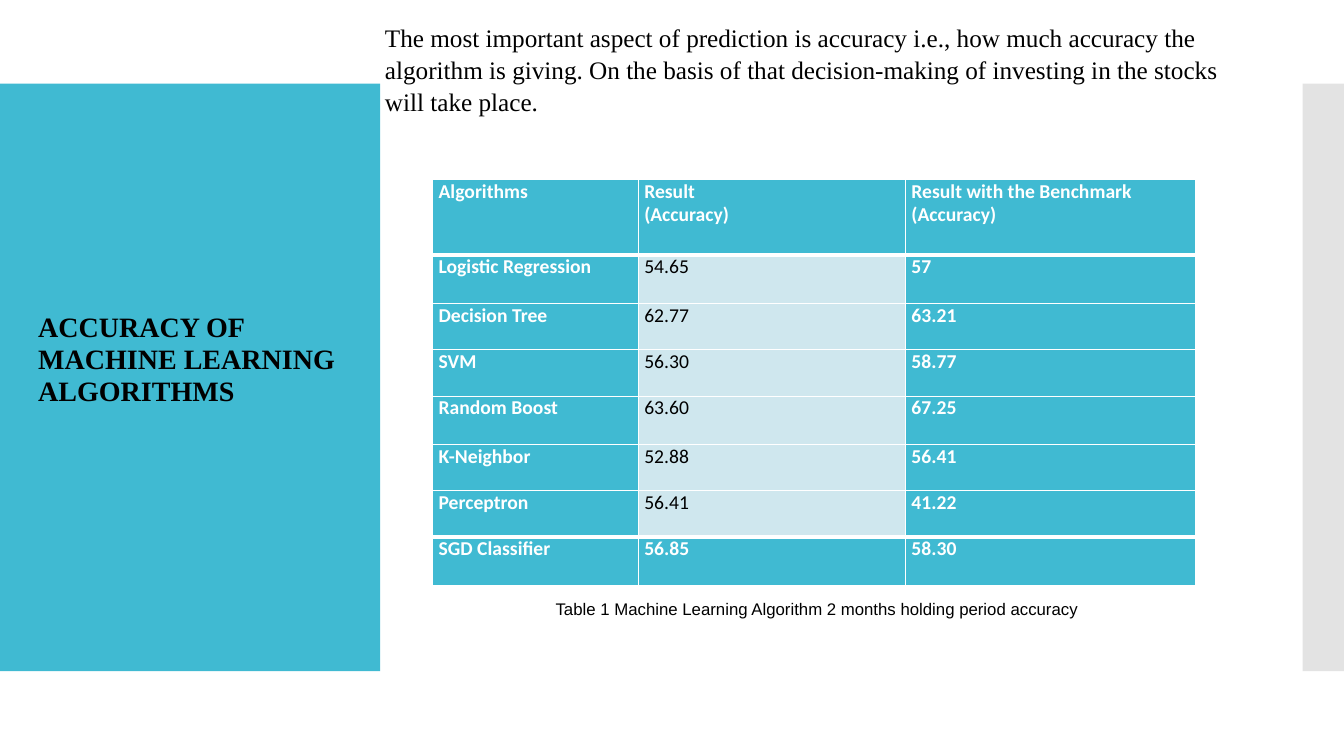
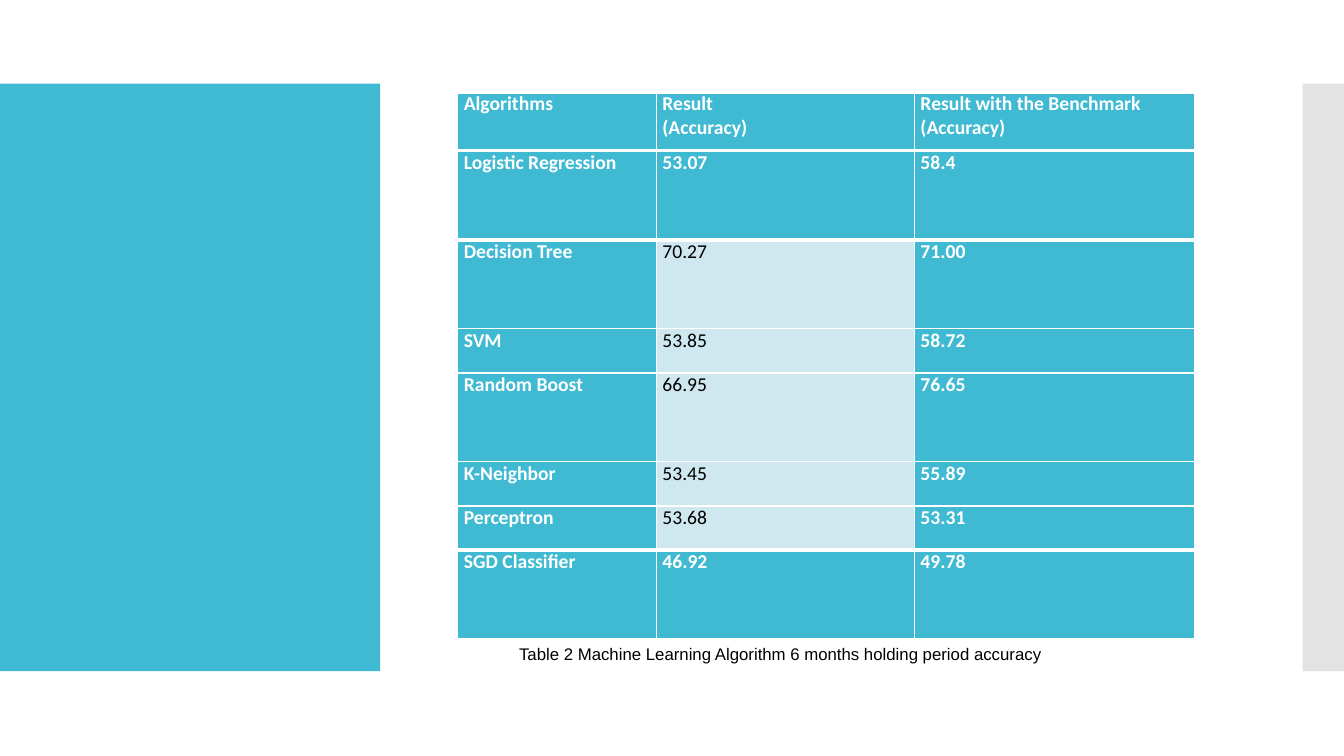
import pptx
import pptx.dml.color
import pptx.enum.shapes
import pptx.enum.text
import pptx.oxml
import pptx.oxml.ns
import pptx.util

PX = 9144
ALIGN = pptx.enum.text.PP_ALIGN
ANCHOR = pptx.enum.text.MSO_ANCHOR
HEADER = ["Algorithms", "Result\v(Accuracy)", "Result with the Benchmark (Accuracy)"]
ALGORITHMS = ["Logistic Regression", "Decision Tree", "SVM", "Random Boost",
              "K-Neighbor", "Perceptron", "SGD Classifier"]
TWO_MONTHS = [("54.65", "57"), ("62.77", "63.21"), ("56.30", "58.77"), ("63.60", "67.25"),
              ("52.88", "56.41"), ("56.41", "41.22"), ("56.85", "58.30")]
SIX_MONTHS = [("53.07", "58.4"), ("70.27", "71.00"), ("53.85", "58.72"), ("66.95", "76.65"),
              ("53.45", "55.89"), ("53.68", "53.31"), ("46.92", "49.78")]


def px(n):
    return pptx.util.Emu(n * PX)


def rgb(value):
    return pptx.dml.color.RGBColor.from_string(value)


def result_rows(results):
    return [[name, *pair] for name, pair in zip(ALGORITHMS, results)]


class Deck:
    TEAL, PALE, GREY, WHITE, BLACK = "40BAD2", "CFE7EE", "C8C8C8", "FFFFFF", "000000"
    TITLE = {"name": "Times New Roman", "size": 20, "bold": True}
    BODY = {"name": "Times New Roman", "size": 18}
    CELL = {"name": "Calibri", "size": 14, "bold": True, "color": WHITE}
    PLAIN_CELL = {**CELL, "bold": False, "color": BLACK}
    CAPTION = {"name": "Arial", "size": 12}

    def __init__(self):
        self.prs = pptx.Presentation()
        self.prs.slide_width, self.prs.slide_height = px(1333), px(750)

    def slide(self):
        self.s = self.prs.slides.add_slide(self.prs.slide_layouts[6])
        self.band(0, 377, self.TEAL)
        self.band(1292, 41, self.GREY, 50)

    def band(self, x, w, color, opacity=100):
        sp = self.s.shapes.add_shape(pptx.enum.shapes.MSO_SHAPE.RECTANGLE,
                                     px(x), px(83), px(w), px(583))
        sp.shadow.inherit = False
        sp.fill.solid()
        sp.fill.fore_color.rgb = rgb(color)
        sp.line.fill.background()
        if opacity < 100:
            clr = sp._element.spPr.find(".//" + pptx.oxml.ns.qn("a:srgbClr"))
            alpha = clr.makeelement(pptx.oxml.ns.qn("a:alpha"), {"val": str(opacity * 1000)})
            clr.append(alpha)

    def style_text(self, p, text, style):
        p.text = text
        for r in p.runs:
            for key, value in style.items():
                if key != "color":
                    setattr(r.font, key, pptx.util.Pt(value) if key == "size" else value)
            r.font.color.rgb = rgb(style.get("color", self.BLACK))

    def text(self, x, y, w, h, text, style, anchor=ANCHOR.MIDDLE, **paragraph):
        tf = self.s.shapes.add_textbox(px(x), px(y), px(w), px(h)).text_frame
        tf.word_wrap = True
        tf.vertical_anchor = anchor
        p = tf.paragraphs[0]
        self.style_text(p, text, style)
        for key, value in paragraph.items():
            setattr(p, key, value)

    def border(self, cell, side, width):
        tc_pr = cell._tc.get_or_add_tcPr()
        tc_pr.append(pptx.oxml.parse_xml(
            f'<a:ln{side} {pptx.oxml.ns.nsdecls("a")} w="{pptx.util.Pt(width)}">'
            f'<a:solidFill><a:srgbClr val="{self.WHITE}"/></a:solidFill></a:ln{side}>'))

    def table(self, x, y, widths, heights, rows):
        last = len(rows) - 1
        thick = {1, last}
        table = self.s.shapes.add_table(len(rows), len(widths), px(x), px(y),
                                        px(sum(widths)), px(sum(heights))).table
        table.first_row = table.horz_banding = False
        for column, width in zip(table.columns, widths):
            column.width = px(width)
        for i, (row, height) in enumerate(zip(rows, heights)):
            table.rows[i].height = px(height)
            for j, value in enumerate(row):
                cell = table.cell(i, j)
                plain = j == 1 and 0 < i < last
                cell.margin_left = px(6)
                cell.margin_right = cell.margin_top = cell.margin_bottom = 0
                for side, line in (("L", None), ("R", None), ("T", i), ("B", i + 1)):
                    self.border(cell, side, 3 if line in thick else 1)
                cell.fill.solid()
                cell.fill.fore_color.rgb = rgb(self.PALE if plain else self.TEAL)
                p = cell.text_frame.paragraphs[0]
                p.space_before = pptx.util.Pt(5)
                self.style_text(p, value, self.PLAIN_CELL if plain else self.CELL)


def main():
    deck = Deck()

    deck.slide()
    deck.text(28, 106, 322, 503, "ACCURACY OF MACHINE LEARNING ALGORITHMS", deck.TITLE,
              line_spacing=0.95)
    deck.text(372, 16, 870, 101,
              "The most important aspect of prediction is accuracy i.e., how much accuracy the "
              "algorithm is giving. On the basis of that decision-making of investing in the "
              "stocks will take place.", deck.BODY, ANCHOR.TOP, line_spacing=1.05)
    deck.table(429, 178, [204, 265, 288], [75, 48, 46, 46, 48, 46, 46, 48],
               [HEADER] + result_rows(TWO_MONTHS))
    deck.text(452, 589, 717, 30,
              "Table 1 Machine Learning Algorithm 2 months holding period accuracy",
              deck.CAPTION, alignment=ALIGN.CENTER)

    deck.slide()
    widths = [197, 256, 278]
    deck.table(454, 91, widths, [59], [HEADER])
    deck.table(454, 150, widths, [88, 88, 44, 88, 44, 44, 88], result_rows(SIX_MONTHS))
    deck.text(505, 634, 562, 30,
              "Table 2 Machine Learning Algorithm 6 months holding period accuracy",
              deck.CAPTION)

    deck.prs.save("out.pptx")


if __name__ == "__main__":
    main()
